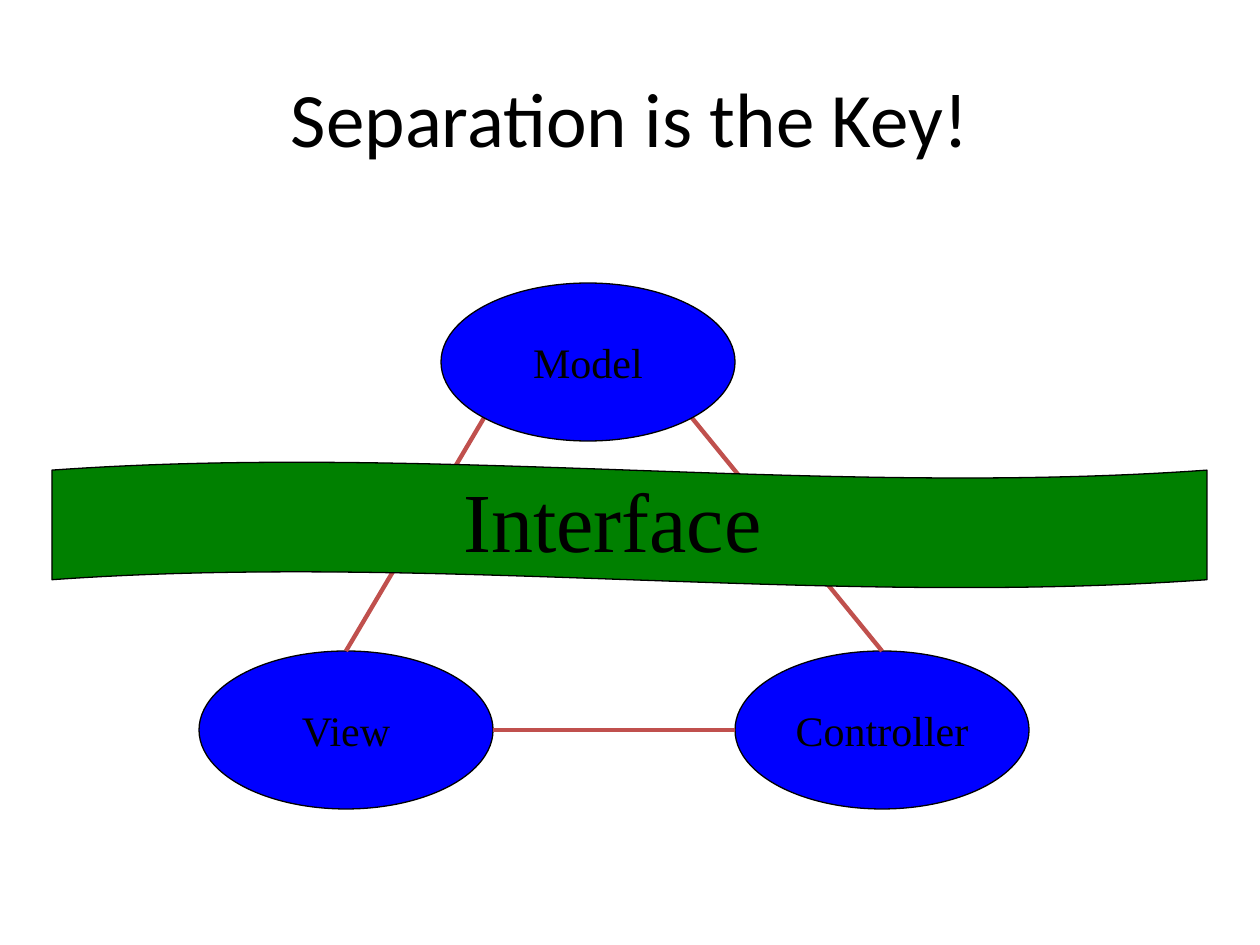
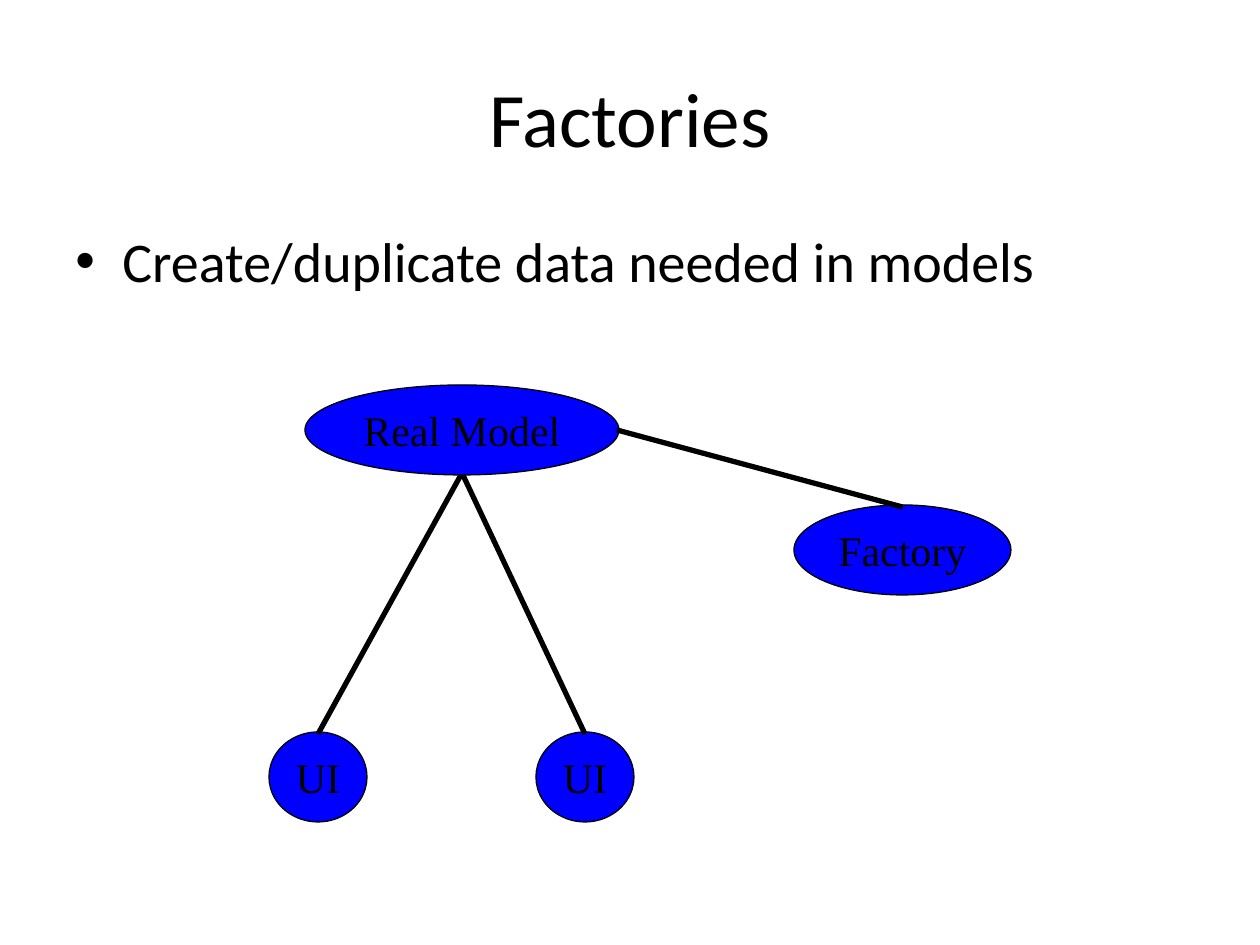
from dataclasses import dataclass
from math import cos, radians, sin

from lxml import etree
from pptx import Presentation
from pptx import util as u
from pptx.dml.color import RGBColor
from pptx.enum import shapes, text
from pptx.oxml import ns

# Shared scale, colours and fonts
EMU_PER_PX = 914400 / 126
BLACK, BLUE, GREEN, RED = "000000", "0000FF", "008000", "C0504D"
SANS, SERIF = "Calibri", "Times New Roman"

# Directions on an oval, in degrees clockwise from the right
RIGHT, LOWER_RIGHT, BOTTOM, LOWER_LEFT, LEFT, TOP = 0, 45, 90, 135, 180, 270


def px(value: float) -> u.Emu:
    return u.Emu(round(value * EMU_PER_PX))


def colour(hex_code: str) -> RGBColor:
    return RGBColor.from_string(hex_code)


@dataclass(frozen=True)
class Box:
    left: int
    top: int
    width: int
    height: int

    def emu(self) -> tuple:
        return px(self.left), px(self.top), px(self.width), px(self.height)


@dataclass(frozen=True)
class Node:
    label: str
    box: Box

    def point(self, angle: int, inset: int) -> tuple:
        """Point on the outline of the oval, moved inwards by the inset."""
        b, a = self.box, radians(angle)
        return (px(b.left + b.width / 2 + (b.width / 2 - inset) * cos(a)),
                px(b.top + b.height / 2 + (b.height / 2 - inset) * sin(a)))


@dataclass(frozen=True)
class Link:
    start: Node
    start_angle: int
    end: Node
    end_angle: int
    colour: str
    weight: float
    inset: int = 0


TITLE_BOX = Box(63, 38, 1134, 157)


def write(frame, words: str, *, font=SERIF, size=24, align=None,
          anchor=text.MSO_ANCHOR.TOP, wrap=True, before=0, bullet_indent=0,
          fit=False) -> None:
    frame.word_wrap = wrap
    frame.vertical_anchor = anchor
    frame.auto_size = (text.MSO_AUTO_SIZE.SHAPE_TO_FIT_TEXT if fit
                       else text.MSO_AUTO_SIZE.NONE)
    paragraph = frame.paragraphs[0]
    paragraph.alignment = align
    paragraph.space_before = u.Pt(before)
    run = paragraph.add_run()
    run.text = words
    run.font.name, run.font.size = font, u.Pt(size)
    run.font.color.rgb = colour(BLACK)
    if bullet_indent:
        properties = paragraph._p.get_or_add_pPr()
        properties.set("marL", str(px(bullet_indent)))
        properties.set("indent", str(-px(bullet_indent)))
        etree.SubElement(properties, ns.qn("a:buFont"), typeface="Arial")
        etree.SubElement(properties, ns.qn("a:buChar"), char="•")


def add_text(slide, box: Box, words: str, **style) -> None:
    write(slide.shapes.add_textbox(*box.emu()).text_frame, words, **style)


def add_filled(slide, kind, box: Box, fill: str):
    shape = slide.shapes.add_shape(kind, *box.emu())
    shape.shadow.inherit = False
    shape.fill.solid()
    shape.fill.fore_color.rgb = colour(fill)
    shape.line.color.rgb = colour(BLACK)
    shape.line.width = u.Pt(0.75)
    return shape


def add_node(slide, node: Node) -> None:
    oval = add_filled(slide, shapes.MSO_SHAPE.OVAL, node.box, BLUE)
    write(oval.text_frame, node.label, align=text.PP_ALIGN.CENTER,
          anchor=text.MSO_ANCHOR.MIDDLE, wrap=False)


def add_link(slide, link: Link) -> None:
    line = slide.shapes.add_connector(
        shapes.MSO_CONNECTOR.STRAIGHT,
        *link.start.point(link.start_angle, link.inset),
        *link.end.point(link.end_angle, link.inset))
    line.line.color.rgb = colour(link.colour)
    line.line.width = u.Pt(link.weight)
    etree.SubElement(line._element.spPr, ns.qn("a:effectLst"))


def draw(slide, *parts) -> None:
    """Draw nodes and links from back to front."""
    for part in parts:
        (add_node if isinstance(part, Node) else add_link)(slide, part)


def add_titled_slide(deck, title: str):
    slide = deck.slides.add_slide(deck.slide_layouts[6])
    add_text(slide, TITLE_BOX, title, font=SANS, size=44,
             align=text.PP_ALIGN.CENTER, anchor=text.MSO_ANCHOR.MIDDLE)
    return slide


def build_separation(deck) -> None:
    slide = add_titled_slide(deck, "Separation is the Key!")

    # Triangle of the three roles
    model = Node("Model", Box(441, 283, 294, 158))
    view = Node("View", Box(199, 651, 294, 158))
    controller = Node("Controller", Box(735, 651, 294, 158))
    draw(slide, view, controller,
         Link(view, TOP, model, LOWER_LEFT, RED, 2.5),
         Link(view, RIGHT, controller, LEFT, RED, 2.5),
         Link(model, LOWER_RIGHT, controller, TOP, RED, 2.5),
         model)

    # Interface band across the triangle
    band = add_filled(slide, shapes.MSO_SHAPE.WAVE,
                      Box(52, 462, 1155, 126), GREEN)
    band.adjustments[0] = 0.065
    band.adjustments[1] = 0
    add_text(slide, Box(451, 462, 462, 113), "Interface", size=48,
             before=30, fit=True)


def build_factories(deck) -> None:
    slide = add_titled_slide(deck, "Factories")
    add_text(slide, Box(63, 220, 1134, 624),
             "Create/duplicate data needed in models",
             font=SANS, size=32, before=8, bullet_indent=47)

    # Real model with its factory and user interfaces
    real_model = Node("Real Model", Box(305, 385, 314, 90))
    factory = Node("Factory", Box(794, 505, 217, 90))
    interfaces = [Node("UI", Box(left, 732, 98, 90)) for left in (269, 536)]
    draw(slide, factory, *interfaces,
         *(Link(real_model, BOTTOM, interface, TOP, BLACK, 3, inset=2)
           for interface in interfaces),
         real_model,
         Link(real_model, RIGHT, factory, TOP, BLACK, 3, inset=2))


def main() -> None:
    deck = Presentation()
    deck.slide_width, deck.slide_height = px(1260), px(945)
    build_separation(deck)
    build_factories(deck)
    deck.save("out.pptx")


if __name__ == "__main__":
    main()
